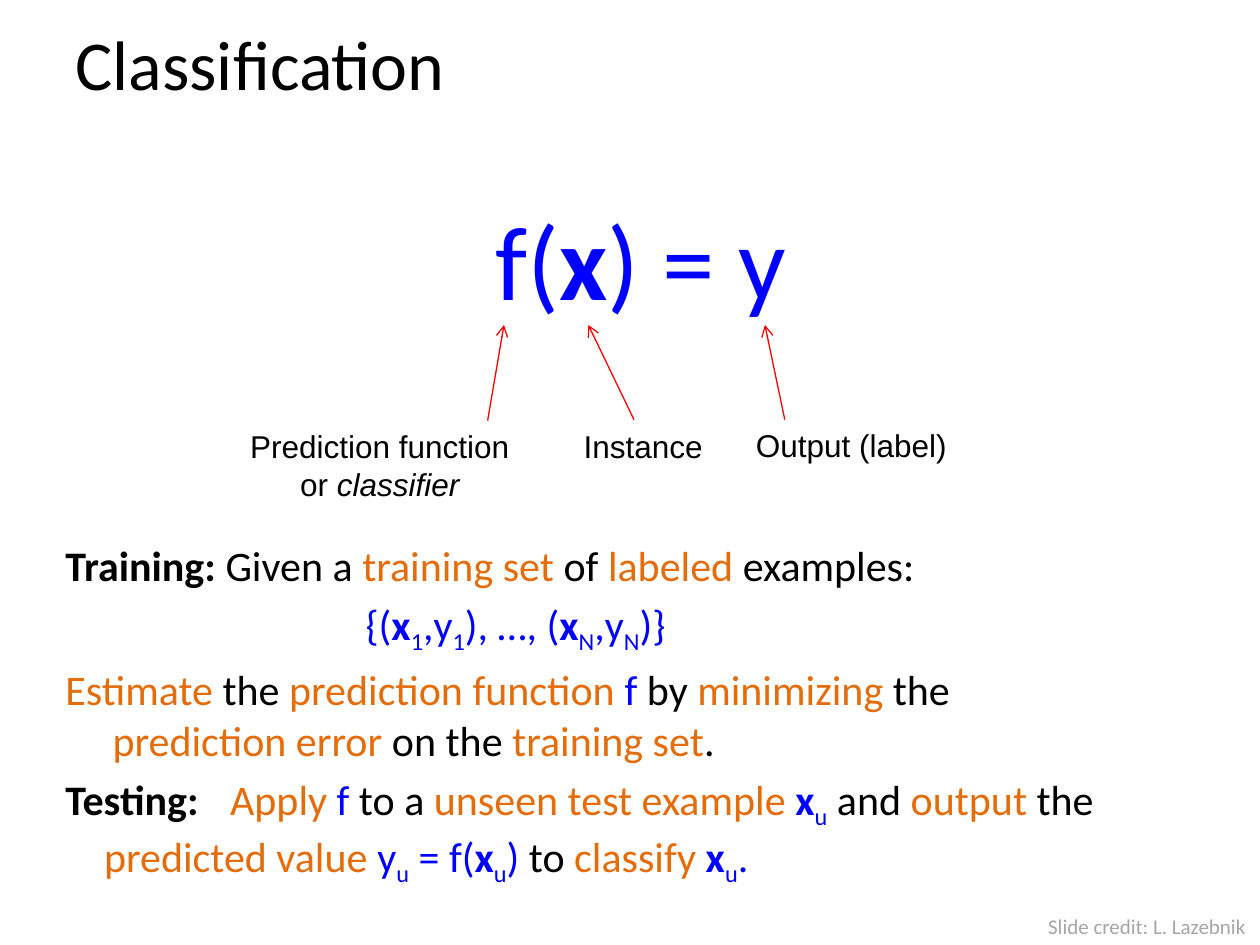
from pptx import Presentation
from pptx.dml.color import RGBColor
from pptx.enum.shapes import MSO_CONNECTOR as LINE
from pptx.enum.text import MSO_ANCHOR as ANCHOR, PP_ALIGN as ALIGN
from pptx.oxml.ns import qn
from pptx.util import Cm, Pt
from lxml.etree import SubElement

BLACK = RGBColor(0x00, 0x00, 0x00)
BLUE = RGBColor(0x00, 0x00, 0xFF)
ORANGE = RGBColor(0xE4, 0x6C, 0x0A)
RED = RGBColor(0xFF, 0x00, 0x00)
GRAY = RGBColor(0xA6, 0xA6, 0xA6)
INKS = {"k": BLACK, "b": BLUE, "o": ORANGE, "g": GRAY}

# Content: runs are (text, style); style is an ink letter,
# then * for bold, / for italic, _ for subscript
TITLE = [("Classification", "k")]
RULE = [("f(", "b"), ("x", "b*"), (") = y", "b")]
CREDIT = [("Slide credit: L. Lazebnik", "g")]

# Paragraphs: left margin, first-line indent, tab stop (cm), runs
STEPS = [
    (0.95, -0.95, None, [
        ("Training: ", "k*"), ("Given a ", "k"), ("training set ", "o"),
        ("of ", "k"), ("labeled", "o"), (" examples:", "k")]),
    (6.05, 0, None, [
        ("{(", "b"), ("x", "b*"), ("1", "b_"), (",y", "b"), ("1", "b_"),
        ("), …, (", "b"), ("x", "b*"), ("N", "b_"), (",y", "b"),
        ("N", "b_"), (")}", "b")]),
    (0.95, -0.95, None, [
        ("Estimate", "o"), (" the ", "k"), ("prediction function ", "o"),
        ("f ", "b"), ("by ", "k"), ("minimizing", "o"), (" the", "k"),
        ("\n", "k"), ("prediction error ", "o"), ("on the ", "k"),
        ("training set", "o"), (".", "k")]),
    (0.78, -0.78, 3.27, [
        ("Testing:\t", "k*"), ("Apply ", "o"), ("f", "b"), (" to a ", "k"),
        ("unseen test example ", "o"), ("x", "b*"), ("u", "b_"),
        (" and ", "k"), ("output", "o"), (" the", "k"), ("\n", "k"),
        ("predicted value ", "o"), ("y", "b"), ("u", "b_"), (" = f(", "b"),
        ("x", "b*"), ("u", "b_"), (") ", "b"), ("to ", "k"),
        ("classify ", "o"), ("x", "b*"), ("u", "b_"), (".", "b")]),
]

# Labels: box (cm), alignment, runs, arrow start and tip (cm)
TIP = 6.55
LABELS = [
    ((2.97, 8.48, 9.37, 1.8), ALIGN.CENTER,
     [("Prediction function", "k"), ("\n", "k"), ("or ", "k"),
      ("classifier", "k/")], (9.83, 8.48), (10.16, TIP)),
    ((10.87, 8.48, 4.19, 1.02), ALIGN.CENTER,
     [("Instance", "k")], (12.78, 8.46), (11.86, TIP)),
    ((14.99, 8.46, 4.39, 1.02), ALIGN.LEFT,
     [("Output (label)", "k")], (15.82, 8.46), (15.42, TIP)),
]


def write(para, runs, size, face="Calibri"):
    for text, style in runs:
        if text == "\n":
            para.add_line_break()
            continue
        run = para.add_run()
        run.text = text
        font = run.font
        font.name, font.size = face, Pt(size)
        font.color.rgb = INKS[style[0]]
        font.bold = "*" in style
        font.italic = "/" in style
        if "_" in style:
            font._element.set("baseline", "-25000")


def add_box(slide, box, wrap=True):
    frame = slide.shapes.add_textbox(*map(Cm, box)).text_frame
    frame.word_wrap = wrap
    return frame


def add_line(slide, runs, box, size, align, face="Calibri", wrap=True):
    para = add_box(slide, box, wrap).paragraphs[0]
    para.alignment = align
    write(para, runs, size, face)


def add_arrow(slide, start, tip):
    arrow = slide.shapes.add_connector(
        LINE.STRAIGHT, *map(Cm, start + tip))
    arrow.line.color.rgb = RED
    arrow.line.width = Pt(0.75)
    SubElement(arrow.line._get_or_add_ln(), qn("a:tailEnd"), type="arrow")
    SubElement(arrow._element.spPr, qn("a:effectLst"))


def add_steps(slide, box):
    frame = add_box(slide, box)
    for i, (left, first, stop, runs) in enumerate(STEPS):
        para = frame.add_paragraph() if i else frame.paragraphs[0]
        para.space_before = Pt(4.8 if i else 0)
        props = para._p.get_or_add_pPr()
        props.set("marL", str(Cm(left)))
        props.set("indent", str(Cm(first)))
        if stop:
            tabs = SubElement(props, qn("a:tabLst"))
            SubElement(tabs, qn("a:tab"), pos=str(Cm(stop)), algn="l")
        write(para, runs, 24)


def main():
    deck = Presentation()
    deck.slide_width, deck.slide_height = Cm(25.4), Cm(19.05)
    slide = deck.slides.add_slide(deck.slide_layouts[5])

    # Title
    title = slide.shapes.title
    title.left, title.top = Cm(1.27), Cm(0)
    title.width, title.height = Cm(22.86), Cm(2.54)
    title.text_frame.vertical_anchor = ANCHOR.MIDDLE
    para = title.text_frame.paragraphs[0]
    para.alignment = ALIGN.LEFT
    write(para, TITLE, 40)

    # Formula and explanation
    add_line(slide, RULE, (1.07, 3.81, 23.7, 2.8), 60, ALIGN.CENTER)
    add_steps(slide, (1.07, 10.75, 23.7, 7.03))

    # Labels with arrows to the formula
    for box, align, runs, start, tip in LABELS:
        add_arrow(slide, start, tip)
        add_line(slide, runs, box, 18, align, "Arial")

    # Credit
    add_line(slide, CREDIT, (20.88, 18.29, 4.52, 0.76), 12, ALIGN.LEFT,
             wrap=False)
    deck.save("out.pptx")


if __name__ == "__main__":
    main()
